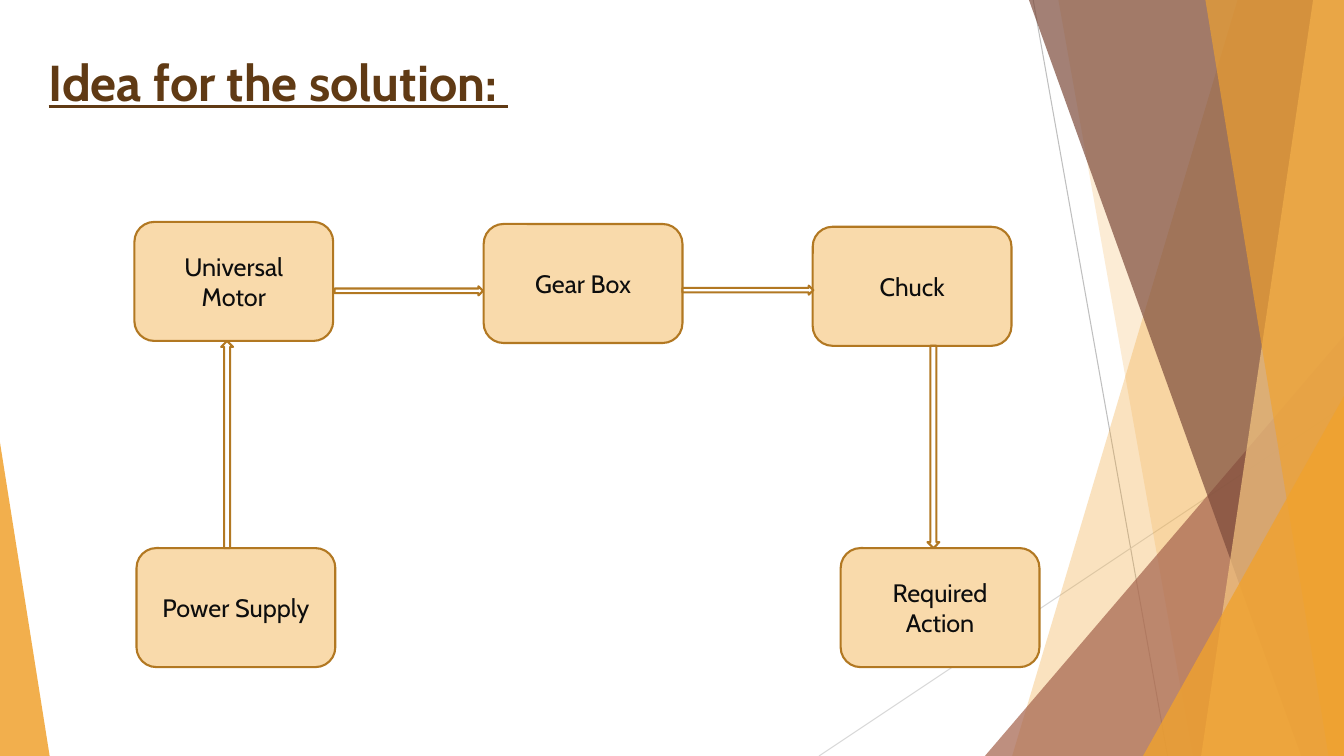
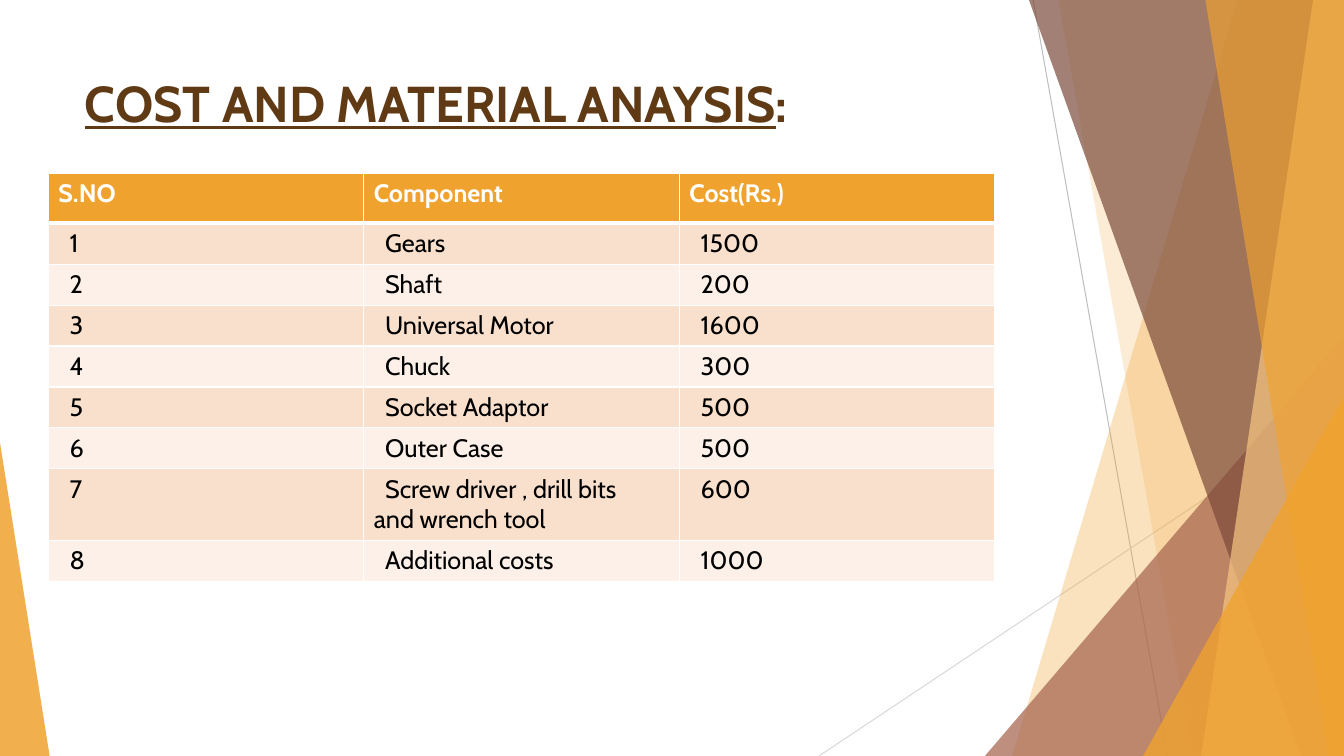
from lxml import etree
from pptx import Presentation
from pptx.dml.color import RGBColor
from pptx.enum.shapes import MSO_CONNECTOR, MSO_SHAPE
from pptx.enum.text import MSO_ANCHOR, MSO_AUTO_SIZE, PP_ALIGN
from pptx.oxml.ns import qn
from pptx.util import Pt

ROUNDED = MSO_SHAPE.ROUNDED_RECTANGLE
TRIANGLE = MSO_SHAPE.ISOSCELES_TRIANGLE
RIGHT_ARROW = MSO_SHAPE.RIGHT_ARROW
DOWN_ARROW = MSO_SHAPE.DOWN_ARROW
UP_ARROW = MSO_SHAPE.UP_ARROW
STRAIGHT = MSO_CONNECTOR.STRAIGHT
TOP, MIDDLE = MSO_ANCHOR.TOP, MSO_ANCHOR.MIDDLE
NO_AUTOFIT = MSO_AUTO_SIZE.NONE
LEFT, CENTER = PP_ALIGN.LEFT, PP_ALIGN.CENTER

WIDTH, HEIGHT = 960, 540
FONT = "Cabin"
TITLE_ONLY = 5
BROWN, ORANGE, GOLD_LINE, BOX_FILL = "603A14", "F0A22E", "B27822", "F9DAAB"
WHITE, BLACK, BOX_TEXT = "FFFFFF", "000000", "0D0D0D"
BAND_FILLS = ("F9E0CD", "FCF0E8")
BOX_WIDTH, BOX_HEIGHT = 142, 85
COLUMN_WIDTH, HEADER_HEIGHT, LINE_HEIGHT, ROW_PADDING = 225.4, 36, 22, 7.25
CELL_INDENT = 8

BOXES = [
    ("Universal Motor", 96, 158.5),
    ("Gear Box", 345.5, 160),
    ("Chuck", 580.5, 162),
    ("Power Supply", 97.5, 391.5),
    ("Required Action", 600.5, 391.5),
]
ARROWS = [
    (RIGHT_ARROW, 239, 204.5, 106, 6.5),
    (RIGHT_ARROW, 487.5, 204, 93.5, 6.5),
    (DOWN_ARROW, 662.5, 247, 8.5, 144.5),
    (UP_ARROW, 158, 243.5, 8.5, 148),
]
COST_ROWS = [
    ("S.NO", "Component", "Cost(Rs.)"),
    ("1", "Gears", "1500"),
    ("2", "Shaft", "200"),
    ("3", "Universal Motor", "1600"),
    ("4", "Chuck", "300"),
    ("5", "Socket Adaptor", "500"),
    ("6", "Outer Case", "500"),
    ("7", "Screw driver , drill bits\vand wrench tool", "600"),
    ("8", "Additional costs", "1000"),
]


def rgb(value):
    """Turn a hex string into a colour."""
    return RGBColor.from_string(value)


def format_font(font, size, color, bold=False, underline=False):
    """Apply the deck font with the given look."""
    font.name = FONT
    font.size = Pt(size)
    font.color.rgb = rgb(color)
    font.bold = bold
    font.underline = underline


def fill_translucent(shape, color, opacity):
    """Fill a shape without outline at an opacity in percent."""
    shape.shadow.inherit = False
    shape.fill.solid()
    shape.fill.fore_color.rgb = rgb(color)
    color_element = shape.element.spPr.find(".//" + qn("a:srgbClr"))
    etree.SubElement(color_element, qn("a:alpha")).set("val", str(opacity * 1000))
    shape.line.fill.background()


def add_thin_line(slide, start, end, color):
    """Draw a fine straight line."""
    line = slide.shapes.add_connector(STRAIGHT, *map(Pt, start + end))
    line.line.color.rgb = rgb(color)
    line.line.width = Pt(0.75)
    etree.SubElement(line.element.spPr, qn("a:effectLst"))


def add_band(slide, top_left, top_right, bottom_right, bottom_left, color, opacity):
    """Draw a full-height translucent band from its four corner x positions."""
    builder = slide.shapes.build_freeform(Pt(top_left), Pt(0))
    corners = [(top_right, 0), (bottom_right, HEIGHT), (bottom_left, HEIGHT)]
    builder.add_line_segments([(Pt(x), Pt(y)) for x, y in corners])
    fill_translucent(builder.convert_to_shape(), color, opacity)


def add_wedge(slide, left, top, width, apex, color, opacity):
    """Draw a translucent triangle standing on the bottom edge."""
    bounds = map(Pt, (left, top, width, HEIGHT - top))
    wedge = slide.shapes.add_shape(TRIANGLE, *bounds)
    wedge.adjustments[0] = apex
    fill_translucent(wedge, color, opacity)


def add_backdrop(slide):
    """Draw the facets and move them to the layout that all slides share."""
    add_thin_line(slide, (738, 0), (834, HEIGHT), "BFBFBF")
    add_thin_line(slide, (WIDTH, 290), (585, HEIGHT), "D9D9D9")
    add_band(slide, 884, WIDTH, WIDTH, 723, ORANGE, 30)
    add_band(slide, 756, WIDTH, WIDTH, 852, ORANGE, 20)
    add_wedge(slide, 703.5, 240, 256.5, 1, "A5644E", 72)
    add_band(slide, 735, WIDTH, WIDTH, 929.5, "7C4B3B", 70)
    add_band(slide, 938, WIDTH, WIDTH, 858, "F6C782", 70)
    add_band(slide, 861, WIDTH, WIDTH, 949, ORANGE, 65)
    add_wedge(slide, 816.5, 283, 143.5, 1, ORANGE, 80)
    add_wedge(slide, 0, 316, 35.5, 0, ORANGE, 85)
    facets = [shape for shape in slide.shapes if not shape.is_placeholder]
    layout_tree = slide.slide_layout.shapes.element
    for index, facet in enumerate(facets, start=2):
        layout_tree.insert(index, facet.element)


def set_title(slide, left, top, underlined, plain=""):
    """Place and format the title, with an optional tail that is not underlined."""
    title = slide.shapes.title
    title.left, title.top, title.width, title.height = map(Pt, (left, top, 677, 104))
    frame = title.text_frame
    frame.auto_size = NO_AUTOFIT
    frame.vertical_anchor = TOP
    frame.text = underlined
    paragraph = frame.paragraphs[0]
    paragraph.alignment = LEFT
    format_font(paragraph.runs[0].font, 36, BROWN, bold=True, underline=True)
    if plain:
        run = paragraph.add_run()
        run.text = plain
        format_font(run.font, 36, BROWN, bold=True)


def add_outlined_shape(slide, kind, left, top, width, height, fill):
    """Add a filled preset shape with the gold outline."""
    shape = slide.shapes.add_shape(kind, *map(Pt, (left, top, width, height)))
    shape.shadow.inherit = False
    shape.fill.solid()
    shape.fill.fore_color.rgb = rgb(fill)
    shape.line.color.rgb = rgb(GOLD_LINE)
    shape.line.width = Pt(1.5)
    return shape


def add_box(slide, text, left, top):
    """Add one labelled step of the flow."""
    box = add_outlined_shape(slide, ROUNDED, left, top, BOX_WIDTH, BOX_HEIGHT, BOX_FILL)
    frame = box.text_frame
    frame.word_wrap = True
    frame.vertical_anchor = MIDDLE
    frame.text = text
    paragraph = frame.paragraphs[0]
    paragraph.alignment = CENTER
    format_font(paragraph.runs[0].font, 18, BOX_TEXT)


def set_borders(cell, widths):
    """Give a cell white borders, with widths by side."""
    properties = cell._tc.get_or_add_tcPr()
    for side, width in widths.items():
        line = etree.SubElement(properties, qn(f"a:ln{side}"), w=str(Pt(width)))
        fill = etree.SubElement(line, qn("a:solidFill"))
        etree.SubElement(fill, qn("a:srgbClr"), val=WHITE)


def format_cell(cell, text, row_index):
    """Write a cell and style it as header or banded body."""
    header = row_index == 0
    set_borders(cell, {"L": 1, "R": 1, "T": 3 if row_index == 1 else 1, "B": 3 if header else 1})
    cell.fill.solid()
    cell.fill.fore_color.rgb = rgb(ORANGE if header else BAND_FILLS[(row_index - 1) % 2])
    cell.text = text
    paragraph = cell.text_frame.paragraphs[0]
    if not header:
        paragraph._p.get_or_add_pPr().set("indent", str(Pt(CELL_INDENT)))
    for run in paragraph.runs:
        format_font(run.font, 18, WHITE if header else BLACK, bold=header)


def add_cost_table(slide, left, top, rows):
    """Add the table of components and costs."""
    heights = [HEADER_HEIGHT]
    for row in rows[1:]:
        lines = 1 + max(text.count("\v") for text in row)
        heights.append(lines * LINE_HEIGHT + ROW_PADDING)
    columns = len(rows[0])
    bounds = map(Pt, (left, top, columns * COLUMN_WIDTH, sum(heights)))
    table = slide.shapes.add_table(len(rows), columns, *bounds).table
    table.horz_banding = False
    for column in table.columns:
        column.width = Pt(COLUMN_WIDTH)
    for row_index, row in enumerate(rows):
        table.rows[row_index].height = Pt(heights[row_index])
        for column_index, text in enumerate(row):
            format_cell(table.cell(row_index, column_index), text, row_index)


def main():
    """Build and save the presentation."""
    presentation = Presentation()
    presentation.slide_width = Pt(WIDTH)
    presentation.slide_height = Pt(HEIGHT)
    layout = presentation.slide_layouts[TITLE_ONLY]

    solution_slide = presentation.slides.add_slide(layout)
    add_backdrop(solution_slide)
    set_title(solution_slide, 27.5, 33, "Idea for the solution: ")
    for box in BOXES:
        add_box(solution_slide, *box)
    for arrow in ARROWS:
        add_outlined_shape(solution_slide, *arrow, WHITE)

    cost_slide = presentation.slides.add_slide(layout)
    set_title(cost_slide, 53.5, 48, "COST AND MATERIAL ANAYSIS", ":")
    add_cost_table(cost_slide, 34.5, 123.5, COST_ROWS)

    presentation.save("out.pptx")


if __name__ == "__main__":
    main()
